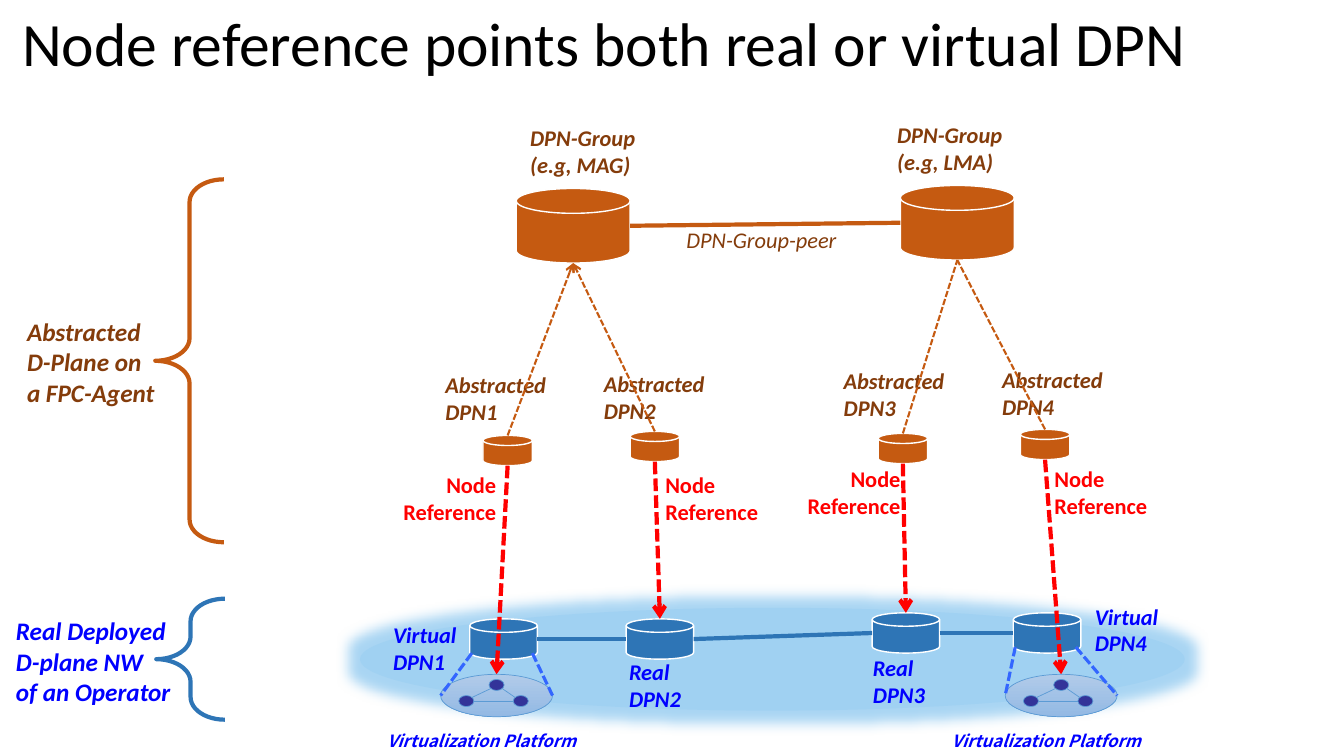
from dataclasses import dataclass

from lxml import etree
from pptx import Presentation
from pptx import util as u
from pptx.dml.color import RGBColor
from pptx.enum import dml, shapes, text
from pptx.oxml import ns

# The grid: 133.3 columns by 75 rows, each cell a tenth of an inch.
COLUMNS, ROWS = 133.3, 75
CELL = u.Inches(0.1)

COLORS = {
    "abstract": "C55A11", "abstract_text": "843C0B",
    "real": "2E75B6", "real_text": "0000FF",
    "reference": "FF0000", "cloud": "A0D1F2", "hosting": "3366FF",
    "platform_top": "B1CBE9", "platform_bottom": "93B9E4",
    "platform_line": "5B9BD5", "vm": "333399",
    "white": "FFFFFF", "black": "000000",
}
Point = tuple[float, float]


@dataclass(frozen=True)
class Box:
    col: float
    row: float
    cols: float
    rows: float

    @property
    def top(self) -> Point:
        return self.col + self.cols / 2, self.row

    @property
    def bottom(self) -> Point:
        return self.col + self.cols / 2, self.row + self.rows

    @property
    def left(self) -> Point:
        return self.col, self.row + self.rows / 2

    @property
    def right(self) -> Point:
        return self.col + self.cols, self.row + self.rows / 2


@dataclass(frozen=True)
class Label:
    words: str
    box: Box
    color: str = "abstract_text"
    size: float = 16
    bold: bool = True
    italic: bool = True
    align: str = "LEFT"
    font: str = "Calibri"


@dataclass(frozen=True)
class Link:
    start: Point
    end: Point
    color: str
    width: float = 3
    dashed: bool = False
    arrow: bool = False


GROUPS = [Box(51.2, 18.7, 11.3, 7.4), Box(89.3, 18.4, 11.3, 7.4)]
ABSTRACTED = [Box(col, row, 4.9, 3)
              for col, row in [(47.9, 43.2), (62.5, 42.8), (87.1, 43), (101.2, 42.6)]]
DEPLOYED = [Box(col, row, 6.7, 4)
            for col, row in [(46.6, 61.4), (62.1, 61.4), (86.5, 60.8), (100.5, 60.8)]]
PLATFORMS = [Box(col, 66.9, 11.1, 4.2) for col in (43.7, 99.7)]
CLOUD = Box(35.7, 60.3, 81.8, 10.2)
BRACES = [(Box(15.4, 17.8, 6.8, 36), "abstract"), (Box(15.5, 59.4, 6.8, 12), "real")]

REFERENCED = [PLATFORMS[0].top, DEPLOYED[1].top, DEPLOYED[2].top, PLATFORMS[1].top]
HOSTED = [(DEPLOYED[0], PLATFORMS[0]), (DEPLOYED[3], PLATFORMS[1])]

LINKS = [
    Link(GROUPS[0].right, GROUPS[1].left, "abstract"),
    *(Link(a.right, b.left, "real") for a, b in zip(DEPLOYED, DEPLOYED[1:])),
    *(Link(dpn.top, GROUPS[i // 2].bottom, "abstract", 1.5, True, i < 2)
      for i, dpn in enumerate(ABSTRACTED)),
    *(Link(dpn.bottom, target, "reference", 3, True, True)
      for dpn, target in zip(ABSTRACTED, REFERENCED)),
]

LABELS = [
    Label("DPN-Group\n(e.g, MAG)", Box(51.6, 11.8, 13.1, 6.4)),
    Label("DPN-Group\n(e.g, LMA)", Box(88, 11.5, 13.1, 6.4)),
    Label("DPN-Group-peer", Box(67.1, 21.9, 17.7, 3.7), bold=False),
    Label("Abstracted\nD-Plane on\na FPC-Agent", Box(1.7, 30.9, 15.6, 10.1), size=18),
    Label("Real Deployed\nD-plane NW\nof an Operator", Box(0.6, 60.6, 18.1, 10.1),
          "real_text", 18),
    *(Label(f"Abstracted\nDPN{n}", Box(col, row, 12.7, 6.4))
      for n, (col, row) in enumerate(
          [(43.2, 36.3), (58.9, 36.2), (82.7, 35.9), (98.4, 35.8)], 1)),
    *(Label(f"{kind}\nDPN{n}", Box(col, row, cols, 6.4), "real_text")
      for n, (kind, col, row, cols) in enumerate(
          [("Virtual", 38, 61.1, 8.9), ("Real", 61.4, 64.8, 7.9),
           ("Real", 85.6, 64.4, 7.9), ("Virtual", 107.6, 59.3, 8.9)], 1)),
    *(Label("Node\nReference", Box(col, row, 11.5, 6.4), "reference",
            italic=False, align=align)
      for col, row, align in [(38.7, 46.3, "RIGHT"), (65, 46.3, "LEFT"),
                              (78.8, 45.7, "RIGHT"), (103.6, 45.7, "LEFT")]),
    *(Label("Virtualization Platform", Box(platform.col - 6.3, 72, 22.8, 3),
            "real_text", 12, font="Noto Sans CJK JP") for platform in PLATFORMS),
]


def cells(*counts: float) -> list[int]:
    return [round(count * CELL) for count in counts]


def color(name: str) -> RGBColor:
    return RGBColor.from_string(COLORS[name])


def add_text(parent, words: str, box: Box, *, tint: str, size: float, font="Calibri",
             bold=False, italic=False, align="LEFT", wrap=False, spacing=None):
    frame = parent.add_textbox(*cells(box.col, box.row, box.cols, box.rows)).text_frame
    frame.word_wrap = wrap
    if wrap:
        frame.vertical_anchor = text.MSO_ANCHOR.MIDDLE
    else:
        frame.auto_size = text.MSO_AUTO_SIZE.SHAPE_TO_FIT_TEXT
    frame.text = words
    for line in frame.paragraphs:
        line.alignment = text.PP_ALIGN[align]
        line.line_spacing = spacing
        style = line.runs[0].font
        style.name, style.size = font, u.Pt(size)
        style.bold, style.italic = bold, italic
        style.color.rgb = color(tint)


def add_outline(parent, preset: str, box: Box, fill: str | None = None,
                line: str | None = None, width: float = 1):
    drawn = parent.add_shape(shapes.MSO_SHAPE[preset],
                             *cells(box.col, box.row, box.cols, box.rows))
    if fill:
        drawn.fill.solid()
        drawn.fill.fore_color.rgb = color(fill)
    else:
        drawn.fill.background()
    if line:
        drawn.line.color.rgb = color(line)
        drawn.line.width = u.Pt(width)
    else:
        drawn.line.fill.background()
    drawn.shadow.inherit = False
    return drawn


def add_link(parent, link: Link):
    drawn = parent.add_connector(shapes.MSO_CONNECTOR.STRAIGHT,
                                 *cells(*link.start, *link.end))
    drawn.line.color.rgb = color(link.color)
    drawn.line.width = u.Pt(link.width)
    if link.dashed:
        drawn.line.dash_style = dml.MSO_LINE.SQUARE_DOT
    properties = drawn._element.spPr
    if link.arrow:
        etree.SubElement(properties.find(ns.qn("a:ln")), ns.qn("a:tailEnd"), type="arrow")
    etree.SubElement(properties, ns.qn("a:effectLst"))


def add_cloud(parent):
    cloud = add_outline(parent, "OVAL", CLOUD, "cloud")
    effects = cloud._element.spPr.find(ns.qn("a:effectLst"))
    glow = etree.SubElement(effects, ns.qn("a:glow"), rad=str(u.Pt(18)))
    tint = etree.SubElement(glow, ns.qn("a:srgbClr"), val=COLORS["cloud"])
    etree.SubElement(tint, ns.qn("a:alpha"), val="90000")


def add_platform(parent, platform: Box):
    """Draw a disc that holds three joined virtual machines."""
    group = parent.add_group_shape().shapes
    disc = add_outline(group, "OVAL", platform, "platform_top", "platform_line", 0.5)
    disc.fill.gradient()
    disc.fill.gradient_angle = 270
    for stop, name in zip(disc.fill.gradient_stops, ("platform_top", "platform_bottom")):
        stop.color.rgb = color(name)
    west, north, east = [Box(platform.col + col, platform.row + row, 1.5, 1.1)
                         for col, row in [(1.8, 2.1), (4.8, 0.5), (7.2, 2.1)]]
    for vm in (west, north, east):
        add_outline(group, "OVAL", vm, "vm", "platform_line", 0.5)
    corner = 0.2
    for start, end in [
        ((west.right[0] - corner, west.row + corner), (north.col + corner, north.row + 0.9)),
        (west.right, east.left),
        ((east.col + corner, east.row + corner), (north.right[0] - corner, north.row + 0.9)),
    ]:
        add_link(group, Link(start, end, "platform_line", 0.5))


def main():
    deck = Presentation()
    deck.slide_width, deck.slide_height = cells(COLUMNS, ROWS)
    canvas = deck.slides.add_slide(deck.slide_layouts[6]).shapes
    add_text(canvas, "Node reference points both real or virtual DPN",
             Box(1.2, 0, 131.1, 9.2), tint="black", size=44, wrap=True, spacing=0.9)
    add_cloud(canvas)
    for brace, tint in BRACES:
        add_outline(canvas, "LEFT_BRACE", brace, line=tint, width=3).adjustments[0] = 0.33
    for tint, disks in (("real", DEPLOYED), ("abstract", GROUPS + ABSTRACTED)):
        for disk in disks:
            add_outline(canvas, "FLOWCHART_MAGNETIC_DISK", disk, tint, "white")
    for label in LABELS:
        add_text(canvas, label.words, label.box, tint=label.color, size=label.size,
                 font=label.font, bold=label.bold, italic=label.italic, align=label.align)
    for link in LINKS:
        add_link(canvas, link)
    for dpn, platform in HOSTED:
        add_platform(canvas, platform)
        base = dpn.bottom[1] - 0.6
        for start, end in [((dpn.col + 0.2, base), platform.left),
                           ((dpn.right[0] - 0.5, base), platform.right)]:
            add_link(canvas, Link(start, end, "hosting", 2.25, True))
    deck.save("out.pptx")


if __name__ == "__main__":
    main()
